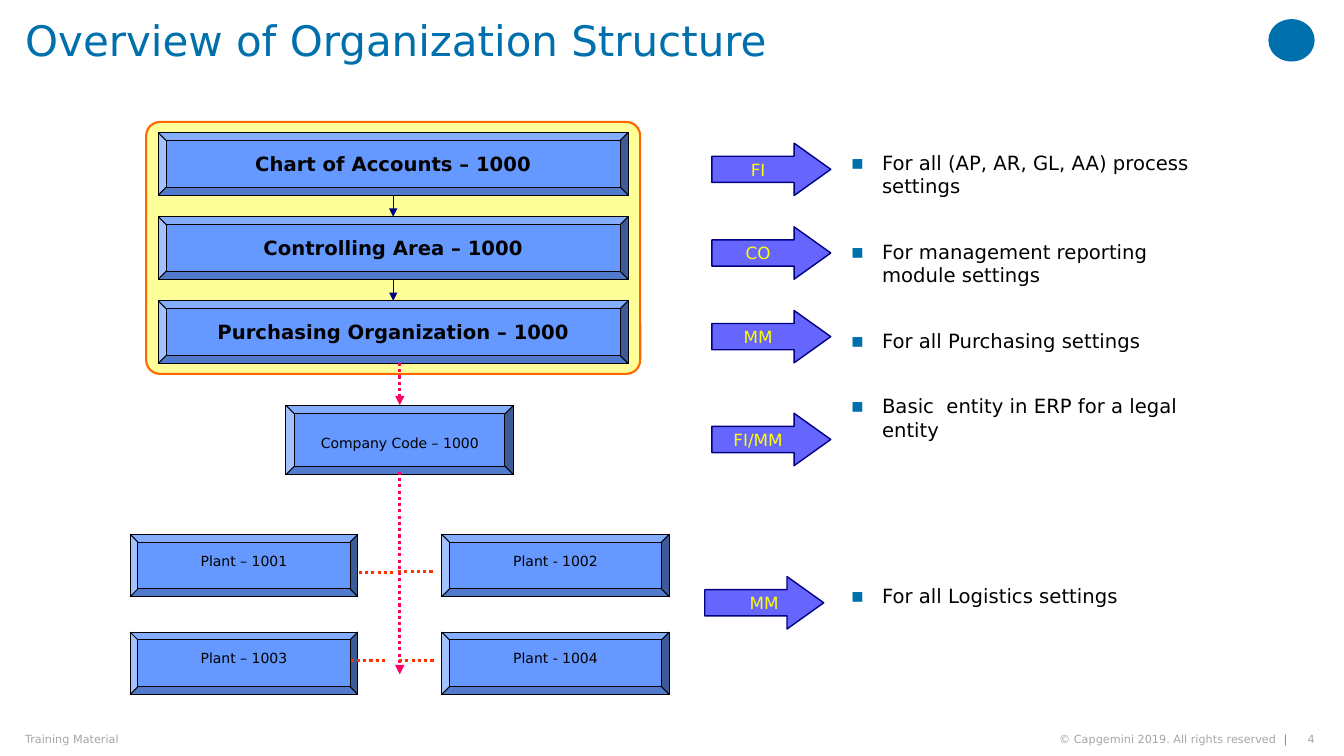
from lxml.etree import SubElement
from pptx import Presentation
from pptx.dml.color import RGBColor
from pptx.enum.dml import MSO_LINE
from pptx.enum.shapes import MSO_CONNECTOR, MSO_SHAPE
from pptx.enum.text import MSO_ANCHOR, PP_ALIGN
from pptx.oxml.ns import qn
from pptx.util import Pt

PX = 9144  # EMU per px, 100 px to the inch
FONT = "DejaVu Sans"

BRAND_BLUE = RGBColor(0x00, 0x70, 0xAD)
CYAN = RGBColor(0x12, 0xAB, 0xDB)
GREY = RGBColor(0xA6, 0xA6, 0xA6)
BLACK = RGBColor(0x00, 0x00, 0x00)
NAVY = RGBColor(0x00, 0x00, 0x80)
BOX_BLUE = RGBColor(0x66, 0x99, 0xFF)
ARROW_BLUE = RGBColor(0x66, 0x66, 0xFF)
YELLOW = RGBColor(0xFF, 0xFF, 0x00)
PALE_YELLOW = RGBColor(0xFF, 0xFF, 0x99)
ORANGE = RGBColor(0xFF, 0x66, 0x00)
RED = RGBColor(0xFF, 0x33, 0x00)
PINK = RGBColor(0xFF, 0x00, 0x66)


def px(*lengths):
    return [round(length * PX) for length in lengths]


def add_run(paragraph, text, size, color, bold=False):
    run = paragraph.add_run()
    run.text = text
    run.font.name = FONT
    run.font.size = Pt(size)
    run.font.bold = bold
    run.font.color.rgb = color


def set_frame(frame, margins, anchor=MSO_ANCHOR.MIDDLE):
    """Wrap the text and set its left, top, right and bottom margins."""
    frame.word_wrap = True
    frame.vertical_anchor = anchor
    (frame.margin_left, frame.margin_top,
     frame.margin_right, frame.margin_bottom) = px(*margins)


def add_text(slide, box, runs, size, align=PP_ALIGN.LEFT):
    frame = slide.shapes.add_textbox(*px(*box)).text_frame
    set_frame(frame, (0, 0, 0, 0))
    frame.paragraphs[0].alignment = align
    for text, color in runs:
        add_run(frame.paragraphs[0], text, size, color)
    return frame


def add_block(slide, kind, box, fill, line=None, width=1.0):
    block = slide.shapes.add_shape(kind, *px(*box))
    block.shadow.inherit = False
    block.fill.solid()
    block.fill.fore_color.rgb = fill
    if line is None:
        block.line.fill.background()
    else:
        block.line.color.rgb = line
        block.line.width = Pt(width)
    return block


def add_label(block, text, size, color, bold=False, shift=(0, 0)):
    """Centre the text in the block, moved right and down by shift."""
    right, down = shift
    margins = [max(0, 2 * move) for move in (right, down, -right, -down)]
    set_frame(block.text_frame, margins)
    paragraph = block.text_frame.paragraphs[0]
    paragraph.alignment = PP_ALIGN.CENTER
    add_run(paragraph, text, size, color, bold)


def add_entity(slide, box, text, size, bold=False, down=0):
    bevel = add_block(slide, MSO_SHAPE.BEVEL, box, BOX_BLUE, BLACK, 0.75)
    add_label(bevel, text, size, BLACK, bold, (0, down))


def add_link(slide, start, end, color, width, dotted=False, arrow=False):
    link = slide.shapes.add_connector(
        MSO_CONNECTOR.STRAIGHT, *px(*start, *end))
    link.line.color.rgb = color
    link.line.width = Pt(width)
    if dotted:
        link.line.dash_style = MSO_LINE.ROUND_DOT
    if arrow:
        SubElement(link.line._get_or_add_ln(), qn("a:tailEnd"), type="triangle")
    SubElement(link._element.spPr, qn("a:effectLst"))


def add_header(slide, left, top, width, height):
    title = add_text(slide, (left, top, width, height),
                     [("Overview of Organization Structure", BRAND_BLUE)], 30)
    set_frame(title, (0, 20, 0, 0), MSO_ANCHOR.TOP)
    title.paragraphs[0].line_spacing = 0.9
    add_block(slide, MSO_SHAPE.OVAL, (left + 1233, top + 19, 46, 42), BRAND_BLUE)


def add_footer(slide, left, top, height):
    add_text(slide, (left, top, 516, height), [("Training Material", GREY)], 8)
    add_text(slide, (left + 961, top, 291, height),
             [("© Capgemini 2019. All rights reserved  ", GREY), ("|", CYAN)],
             8, PP_ALIGN.RIGHT)
    add_text(slide, (left + 1260, top, 19, height), [("4", GREY)], 8,
             PP_ALIGN.RIGHT)


def add_enterprise_levels(slide, left, top, width, height):
    frame = add_block(slide, MSO_SHAPE.ROUNDED_RECTANGLE,
                      (left, top, width, height), PALE_YELLOW, ORANGE, 1.5)
    frame.adjustments[0] = 0.055
    level_height, pitch = 62, 83.5
    center = left + width / 2
    levels = ["Chart of Accounts – 1000", "Controlling Area – 1000",
              "Purchasing Organization – 1000"]
    for index, level in enumerate(levels):
        level_top = top + 10.5 + index * pitch
        add_entity(slide, (left + 12, level_top, width - 24, level_height),
                   level, 14, bold=True)
        if index:
            add_link(slide, (center, level_top - pitch + level_height),
                     (center, level_top), NAVY, 1, arrow=True)


def add_company_and_plants(slide, left, top, width):
    entity_width = 226
    center = left + width / 2
    add_link(slide, (center, top - 42), (center, top), PINK, 2.25,
             dotted=True, arrow=True)
    add_entity(slide, (center - entity_width / 2, top, entity_width, 69),
               "Company Code – 1000", 10, down=3)
    rows = [("Plant – 1001", "Plant - 1002"), ("Plant – 1003", "Plant - 1004")]
    for row, plants in enumerate(rows):
        for column, plant in enumerate(plants):
            plant_left = left + column * (width - entity_width)
            plant_top = top + 128 + row * 97
            add_entity(slide, (plant_left, plant_top, entity_width, 62),
                       plant, 10, down=-5)
    add_link(slide, (center, top + 66), (center, top + 267), PINK, 2.25,
             dotted=True, arrow=True)
    branches = [(227, 166), (266, 165), (219, 253), (267, 253)]
    for start, down in branches:
        add_link(slide, (left + start + 34, top + down),
                 (left + start, top + down), RED, 2.25, dotted=True)


def add_module_arrows(slide, left, top):
    arrows = [("FI", 0, 0, -4), ("CO", 0, 83, -4), ("MM", 0, 166, -4),
              ("FI/MM", 0, 268, -4), ("MM", -7, 430, 9)]
    for module, across, down, text_shift in arrows:
        arrow = add_block(slide, MSO_SHAPE.RIGHT_ARROW,
                          (left + across, top + down, 118, 52),
                          ARROW_BLUE, NAVY)
        arrow.adjustments[1] = 0.7
        add_label(arrow, module, 12, YELLOW, shift=(text_shift, 0))


def add_purposes(slide, left, top, width, height, purposes):
    frame = slide.shapes.add_textbox(*px(left, top, width, height)).text_frame
    set_frame(frame, (10, 5, 10, 5))
    indent, = px(31)
    for index, purpose in enumerate(purposes):
        paragraph = frame.add_paragraph() if index else frame.paragraphs[0]
        if index:
            paragraph.space_before = Pt(30)
        properties = paragraph._p.get_or_add_pPr()
        properties.set("marL", str(indent))
        properties.set("indent", str(-indent))
        bullet_color = SubElement(properties, qn("a:buClr"))
        SubElement(bullet_color, qn("a:srgbClr"), val=str(BRAND_BLUE))
        SubElement(properties, qn("a:buFont"), typeface=FONT)
        SubElement(properties, qn("a:buChar"), char="▪")
        add_run(paragraph, purpose, 14, BLACK)


def main():
    presentation = Presentation()
    presentation.slide_width, presentation.slide_height = px(1333, 750)
    slide = presentation.slides.add_slide(presentation.slide_layouts[6])
    add_header(slide, 25, 0, 1217, 79)
    add_enterprise_levels(slide, 145, 121, 490, 250)
    add_company_and_plants(slide, 129, 402, 535)
    add_module_arrows(slide, 706, 142)
    add_purposes(slide, 834, 143, 370, 301, [
        "For all (AP, AR, GL, AA) process settings",
        "For management reporting module settings",
        "For all Purchasing settings",
        "Basic  entity in ERP for a legal entity"])
    add_purposes(slide, 834, 574, 366, 34, ["For all Logistics settings"])
    add_footer(slide, 25, 727, 13)
    presentation.save("out.pptx")


if __name__ == "__main__":
    main()
